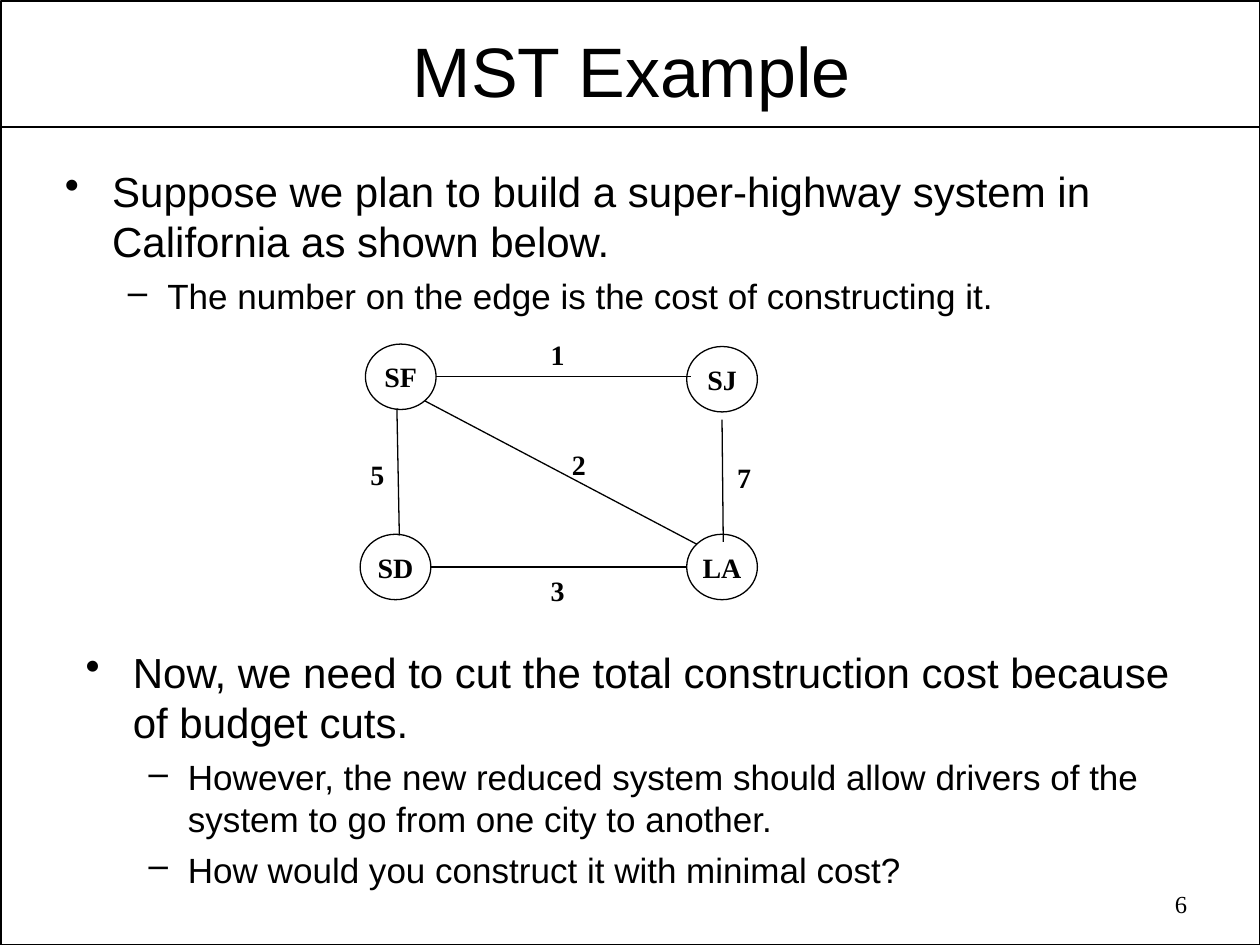
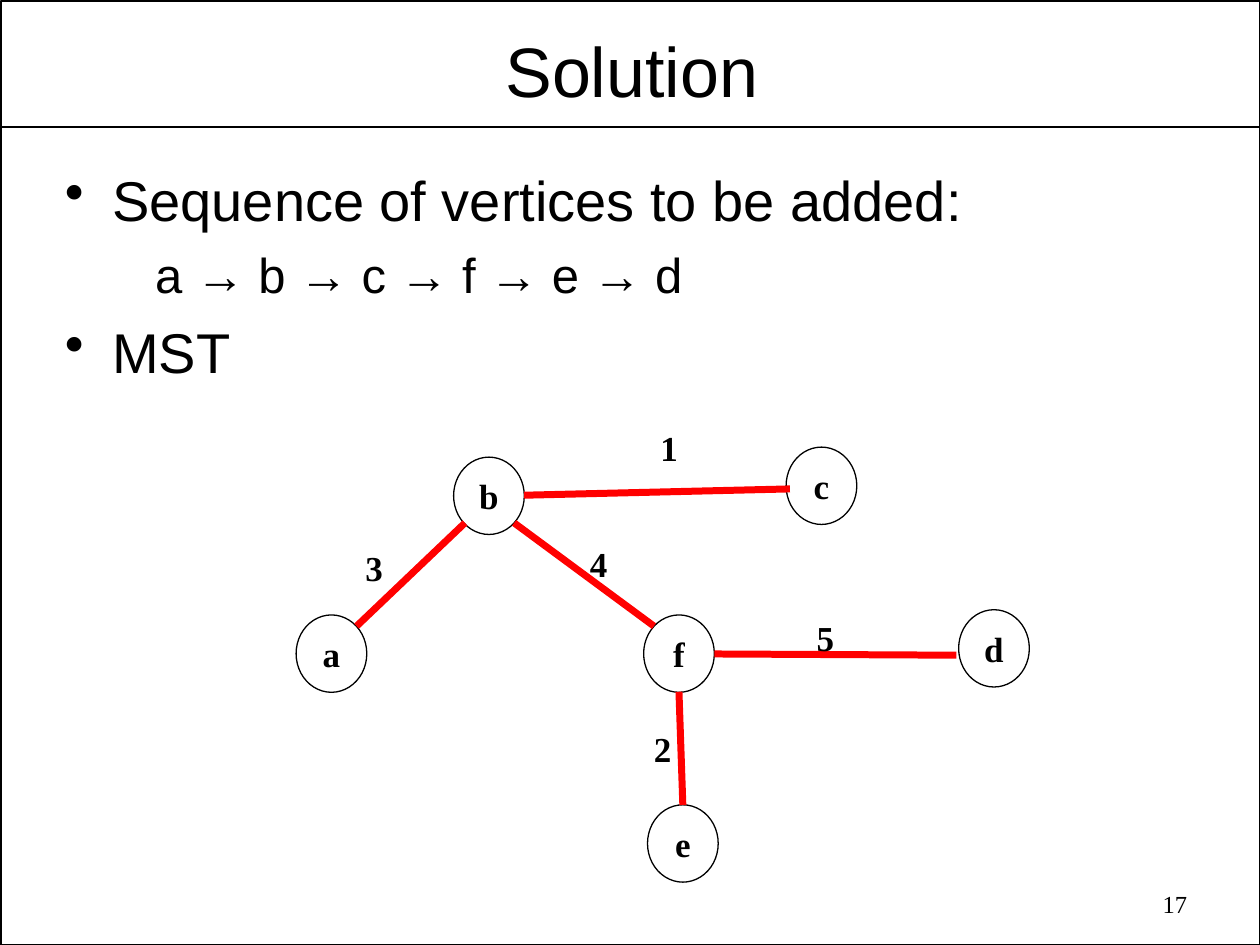
"""Build two slides on minimum spanning trees, each with a drawn graph."""
from lxml import etree
from pptx import Presentation
from pptx.dml.color import RGBColor
from pptx.enum.shapes import MSO_CONNECTOR, MSO_SHAPE
from pptx.enum.text import MSO_ANCHOR, PP_ALIGN
from pptx.oxml.ns import qn
from pptx.util import Pt

LINE = MSO_CONNECTOR.STRAIGHT
RECT, OVAL = MSO_SHAPE.RECTANGLE, MSO_SHAPE.OVAL
MID, TOP = MSO_ANCHOR.MIDDLE, MSO_ANCHOR.TOP
LEFT, MIDST, RIGHT = PP_ALIGN.LEFT, PP_ALIGN.CENTER, PP_ALIGN.RIGHT
INK = {"black": "000000", "red": "FF0000"}
SANS, SERIF = "Arial", "Times New Roman"
TITLE_ONLY = 5

# kind: level, margin, indent, bullet
KINDS = {
    "dot": (0, 27, -27, "•"),
    "dash": (1, 58.5, -22.5, "–"),
    "plain": (1, 51.5, 0, None),
}


def tint(name):
    return RGBColor.from_string(INK[name])


def style(para, size, font, align=LEFT, bold=False):
    para.alignment = align
    para.font.size = Pt(size)
    para.font.name = font
    para.font.bold = bold
    para.font.color.rgb = tint("black")


def fit(frame, pad_x, pad_y, anchor, wrap=True):
    frame.margin_left = frame.margin_right = Pt(pad_x)
    frame.margin_top = frame.margin_bottom = Pt(pad_y)
    frame.vertical_anchor = anchor
    frame.word_wrap = wrap


def stroke(slide, start, end, width, ink="black"):
    line = slide.shapes.add_connector(LINE, *map(Pt, (*start, *end)))
    line.line.width = Pt(width)
    line.line.color.rgb = tint(ink)
    etree.SubElement(line._element.spPr, qn("a:effectLst"))


def hollow(slide, kind, box, width):
    shape = slide.shapes.add_shape(kind, *map(Pt, box))
    shape.shadow.inherit = False
    shape.fill.background()
    shape.line.width = Pt(width)
    shape.line.color.rgb = tint("black")
    return shape


def page(deck, title, number):
    slide = deck.slides.add_slide(deck.slide_layouts[TITLE_ONLY])
    hollow(slide, RECT, (0.7, 0.7, 719.3, 539.3), 1)
    stroke(slide, (0.7, 72.7), (719.3, 72.7), 1)
    head = slide.shapes.title
    head.left, head.top, head.width, head.height = map(Pt, (38, 13.7, 646, 52))
    head.text_frame.text = title
    fit(head.text_frame, 5, 2.2, MID)
    style(head.text_frame.paragraphs[0], 40, SANS, MIDST)
    foot = slide.shapes.add_textbox(*map(Pt, (517, 504.7, 168.5, 26)))
    foot.text_frame.text = str(number)
    fit(foot.text_frame, 7.2, 3.6, TOP)
    style(foot.text_frame.paragraphs[0], 14, SERIF, RIGHT)
    return slide


def bullets(slide, box, items):
    frame = slide.shapes.add_textbox(*map(Pt, box)).text_frame
    fit(frame, 7.2, 3.6, TOP)
    for i, (kind, size, text) in enumerate(items):
        para = frame.add_paragraph() if i else frame.paragraphs[0]
        level, margin, indent, mark = KINDS[kind]
        para.text = text
        para.level = level
        para.space_before = Pt(size // 4)
        style(para, size, SANS)
        props = para._p.get_or_add_pPr()
        props.set("marL", str(Pt(margin)))
        props.set("indent", str(Pt(indent)))
        if mark:
            etree.SubElement(props, qn("a:buChar"), char=mark)
            props.remove(last := props[-1])
            props.insert_element_before(last, "a:tabLst", "a:defRPr", "a:extLst")


def node(slide, name, x, y, high, size):
    wide = 40.4
    oval = hollow(slide, OVAL, (x - wide / 2, y - high / 2, wide, high), 0.75)
    oval.text_frame.text = name
    fit(oval.text_frame, 0, 0, MID, False)
    style(oval.text_frame.paragraphs[0], size, SERIF, MIDST, True)


def label(slide, text, x, y, size):
    wide, high = 24, size * 1.6
    box = slide.shapes.add_textbox(*map(Pt, (x - wide / 2, y - high / 2, wide, high)))
    box.text_frame.text = text
    fit(box.text_frame, 0, 0, MID, False)
    style(box.text_frame.paragraphs[0], size, SERIF, MIDST, True)


def graph(slide, nodes, edges, high, size, width, ink):
    for name, x, y in nodes:
        node(slide, name, x, y, high, size)
    for _, start, end, _ in edges:
        stroke(slide, start, end, width, ink)
    for cost, _, _, spot in edges:
        label(slide, cost, *spot, size)


def example(deck):
    slide = page(deck, "MST Example", 6)
    bullets(slide, (30, 91, 660, 103), [
        ("dot", 24, "Suppose we plan to build a super-highway system in "
                    "California as shown below."),
        ("dash", 20, "The number on the edge is the cost of constructing it."),
    ])
    nodes = [("SF", 229, 215.3), ("SJ", 412.6, 216.7),
             ("SD", 226, 324), ("LA", 412.6, 324)]
    edges = [
        ("1", (249, 215.3), (394.6, 215.3), (318.6, 202.7)),
        ("2", (398.2, 311), (242.6, 229), (330.8, 265.3)),
        ("3", (392.4, 324), (246.2, 324), (318.6, 337.3)),
        ("5", (226.8, 233.3), (228.2, 306), (215.6, 271)),
        ("7", (412.6, 239.8), (413.3, 309.6), (425.2, 272.5)),
    ]
    graph(slide, nodes, edges, 37.4, 16, 0.75, "black")
    bullets(slide, (41.8, 365.8, 660, 160.6), [
        ("dot", 24, "Now, we need to cut the total construction cost because "
                    "of budget cuts."),
        ("dash", 20, "However, the new reduced system should allow drivers of "
                     "the system to go from one city to another."),
        ("dash", 20, "How would you construct it with minimal cost?"),
    ])


def answer(deck):
    slide = page(deck, "Solution", 17)
    bullets(slide, (30, 91, 660, 150), [
        ("dot", 32, "Sequence of vertices to be added:"),
        ("plain", 28, "a → b → c → f → e → d"),
        ("dot", 32, "MST"),
    ])
    nodes = [("a", 189.4, 373.5), ("b", 279.4, 283.3), ("c", 469.4, 277.6),
             ("d", 568, 370.5), ("f", 388, 373.5), ("e", 390.2, 482)]
    edges = [
        ("1", (451.4, 279.4), (299.5, 283), (382.3, 255.6)),
        ("2", (390.2, 460), (388, 395.3), (378.7, 427.7)),
        ("3", (265.7, 298.8), (203.8, 357.8), (213.8, 324)),
        ("4", (373.7, 357.8), (293.8, 298.8), (342, 321.8)),
        ("5", (408.2, 373.7), (546.5, 374.4), (471.6, 364.3)),
    ]
    graph(slide, nodes, edges, 44.2, 20, 4, "red")


def main():
    deck = Presentation()
    deck.slide_width, deck.slide_height = Pt(720), Pt(540)
    example(deck)
    answer(deck)
    deck.save("out.pptx")


main()
